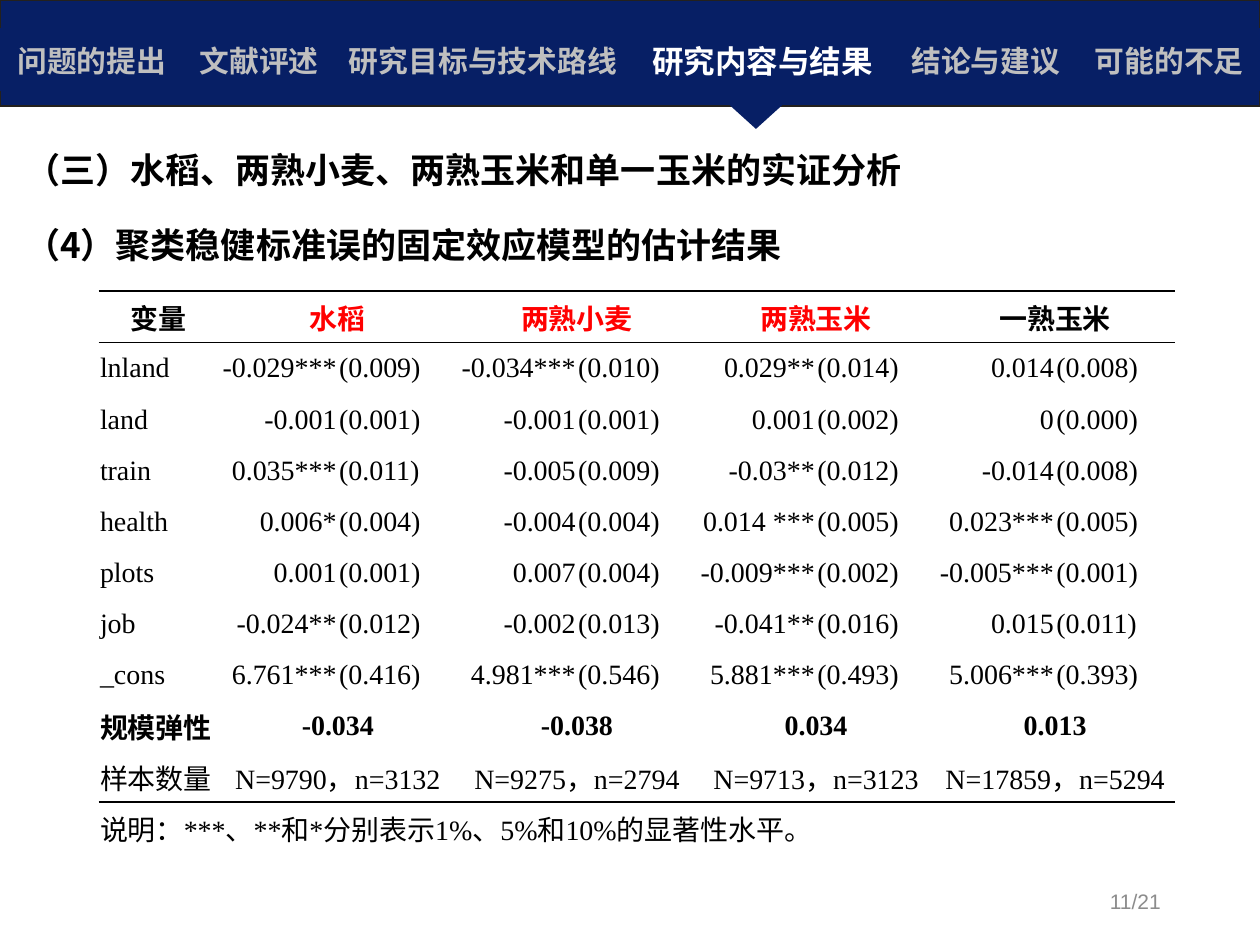
from dataclasses import dataclass

from lxml import etree
from pptx import Presentation
from pptx import util as u
from pptx.dml import color as col
from pptx.enum import shapes, text
from pptx.oxml import ns

Cm, Pt = u.Cm, u.Pt
AL = text.PP_ALIGN
MID = text.MSO_ANCHOR.MIDDLE
PLAIN = "{2D5ABB26-0587-4C30-8999-92F81FD0307C}"


@dataclass(frozen=True)
class Theme:
    navy: str = "071F65"
    edge: str = "24211D"
    black: str = "000000"
    red: str = "FF0000"
    white: str = "FFFFFF"
    dim: str = "BFBFBF"
    grey: str = "8C8C8C"
    sans: str = "Arial"
    serif: str = "Times New Roman"
    cjk: str = "Noto Sans CJK SC"
    head: int = 20
    on: int = 18
    nav: int = 17
    cell: int = 16
    page: int = 12


T = Theme()

# Wording
NAV = ["问题的提出", "文献评述", "研究目标与技术路线",
       "研究内容与结果", "结论与建议", "可能的不足"]
ACTIVE = 3
HEADS = ["（三）水稻、两熟小麦、两熟玉米和单一玉米的实证分析",
         "（4）聚类稳健标准误的固定效应模型的估计结果"]
CROPS = ["变量", "水稻", "两熟小麦", "两熟玉米", "一熟玉米"]
# Each estimate is followed by its standard error
MODEL = [
    ["lnland", "-0.029***", "(0.009)", "-0.034***", "(0.010)",
     "0.029**", "(0.014)", "0.014", "(0.008)"],
    ["land", "-0.001", "(0.001)", "-0.001", "(0.001)",
     "0.001", "(0.002)", "0", "(0.000)"],
    ["train", "0.035***", "(0.011)", "-0.005", "(0.009)",
     "-0.03**", "(0.012)", "-0.014", "(0.008)"],
    ["health", "0.006*", "(0.004)", "-0.004", "(0.004)",
     "0.014 ***", "(0.005)", "0.023***", "(0.005)"],
    ["plots", "0.001", "(0.001)", "0.007", "(0.004)",
     "-0.009***", "(0.002)", "-0.005***", "(0.001)"],
    ["job", "-0.024**", "(0.012)", "-0.002", "(0.013)",
     "-0.041**", "(0.016)", "0.015", "(0.011)"],
    ["_cons", "6.761***", "(0.416)", "4.981***", "(0.546)",
     "5.881***", "(0.493)", "5.006***", "(0.393)"],
]
SCALE = ["规模弹性", "-0.034", "-0.038", "0.034", "0.013"]
COUNT = ["样本数量", "N=9790，n=3132", "N=9275，n=2794",
         "N=9713，n=3123", "N=17859，n=5294"]
NOTE = "说明：***、**和*分别表示1%、5%和10%的显著性水平。"
# Row edges that carry a rule, counted from the table top
RULES = {0, 1, 10}


def apply(item, form):
    for key, val in form.items():
        setattr(item, key, val)


def write(par, words, size, ink, name, bold=False, align=AL.LEFT):
    par.alignment = align
    run = par.add_run()
    run.text = words
    apply(run.font, {"size": Pt(size), "bold": bold, "name": name})
    run.font.color.rgb = col.RGBColor.from_string(ink)
    east = etree.SubElement(run.font._element, ns.qn("a:ea"))
    east.set("typeface", T.cjk)


def add_grid(slide, box, wide, rows):
    """Add a table without a style, in given column widths."""
    frame = slide.shapes.add_table(rows, len(wide), *map(Cm, box))
    for tag in frame._element.iter(ns.qn("a:tableStyleId")):
        tag.text = PLAIN
    grid = frame.table
    apply(grid, {"first_row": False, "horz_banding": False})
    for line, width in zip(grid.columns, wide):
        line.width = Cm(width)
    for line in grid.rows:
        line.height = Cm(box[3] / rows)
    return grid


def rule(cell, row):
    """Set all four sides of a cell: black on a rule, else empty."""
    sides = {"lnL": False, "lnR": False,
             "lnT": row in RULES, "lnB": row + 1 in RULES}
    for side, drawn in sides.items():
        line = etree.SubElement(cell._tc.get_or_add_tcPr(),
                                ns.qn("a:" + side), w=str(Pt(1)))
        if drawn:
            fill = etree.SubElement(line, ns.qn("a:solidFill"))
            etree.SubElement(fill, ns.qn("a:srgbClr"), val=T.black)
        else:
            etree.SubElement(line, ns.qn("a:noFill"))


def add_shape(slide, kind, box, edge=None):
    item = slide.shapes.add_shape(kind, *map(Cm, box))
    item.shadow.inherit = False
    item.fill.solid()
    item.fill.fore_color.rgb = col.RGBColor.from_string(T.navy)
    if edge:
        item.line.color.rgb = col.RGBColor.from_string(edge)
        item.line.width = Pt(0)
    else:
        item.line.fill.background()


def add_heads(slide):
    title = slide.shapes.title
    apply(title, {"left": Cm(0.25), "top": Cm(2.84),
                  "width": Cm(25.15), "height": Cm(2.67)})
    frame = title.text_frame
    apply(frame, {"word_wrap": True, "vertical_anchor": MID,
                  "auto_size": text.MSO_AUTO_SIZE.NONE})
    for i, words in enumerate(HEADS):
        par = frame.add_paragraph() if i else frame.paragraphs[0]
        apply(par, {"line_spacing": Pt(24), "space_before": Pt(18.5 * i)})
        write(par, words, T.head, T.black, T.cjk, True)


def put(grid, row, c, words, align, ink=T.black, bold=False):
    write(grid.cell(row, c).text_frame.paragraphs[0], words,
          T.cell, ink, T.serif, bold, align)


def put_pairs(grid, row, words, side, inks=None, bold=False):
    """Fill a row whose values each span two columns."""
    inks = inks or [T.black] * len(words)
    for i, (word, ink) in enumerate(zip(words, inks)):
        c = max(0, 2 * i - 1)
        if i:
            grid.cell(row, c).merge(grid.cell(row, c + 1))
        put(grid, row, c, word, AL.CENTER if i else side, ink, bold)


def add_model(slide):
    grid = add_grid(slide, (1.99, 5.87, 21.69, 11.33), [2.41] * 9, 11)
    thin = Pt(0.75)
    for row, line in enumerate(grid.rows):
        for cell in line.cells:
            apply(cell, {"margin_left": thin, "margin_right": thin,
                         "margin_top": thin, "margin_bottom": 0,
                         "vertical_anchor": MID})
            rule(cell, row)
            cell.fill.background()
    inks = [T.black, T.red, T.red, T.red, T.black]
    put_pairs(grid, 0, CROPS, AL.CENTER, inks, True)
    for row, line in enumerate(MODEL, 1):
        for c, word in enumerate(line):
            put(grid, row, c, word, AL.RIGHT if c % 2 else AL.LEFT)
    put_pairs(grid, 8, SCALE, AL.JUSTIFY, bold=True)
    put_pairs(grid, 9, COUNT, AL.JUSTIFY)
    grid.cell(10, 0).merge(grid.cell(10, 8))
    put(grid, 10, 0, NOTE, AL.LEFT)


def add_page(slide):
    box = slide.shapes.add_textbox(Cm(17.93), Cm(17.65), Cm(5.72), Cm(1.02))
    apply(box.text_frame, {"word_wrap": True, "vertical_anchor": MID})
    write(box.text_frame.paragraphs[0], "11/21", T.page, T.grey, T.sans,
          align=AL.RIGHT)


def add_nav(slide):
    kind = shapes.MSO_SHAPE
    add_shape(slide, kind.RECTANGLE, (0, 0, 25.4, 2.14), T.edge)
    wide = [3.7, 3.05, 5.98, 5.28, 3.73, 3.66]
    grid = add_grid(slide, (0, 0.56, 25.4, 1.27), wide, 1)
    for i, words in enumerate(NAV):
        cell = grid.cell(0, i)
        cell.vertical_anchor = MID
        cell.fill.solid()
        cell.fill.fore_color.rgb = col.RGBColor.from_string(T.navy)
        size, ink = (T.on, T.white) if i == ACTIVE else (T.nav, T.dim)
        write(cell.text_frame.paragraphs[0], words, size, ink, T.sans,
              True, AL.CENTER)
    # Pointer below the active section
    add_shape(slide, kind.FLOWCHART_MERGE, (14.71, 2.12, 1.06, 0.48))


def main():
    deck = Presentation()
    apply(deck, {"slide_width": Cm(25.4), "slide_height": Cm(19.05)})
    slide = deck.slides.add_slide(deck.slide_layouts[5])
    add_heads(slide)
    add_model(slide)
    add_page(slide)
    add_nav(slide)
    deck.save("out.pptx")


if __name__ == "__main__":
    main()
